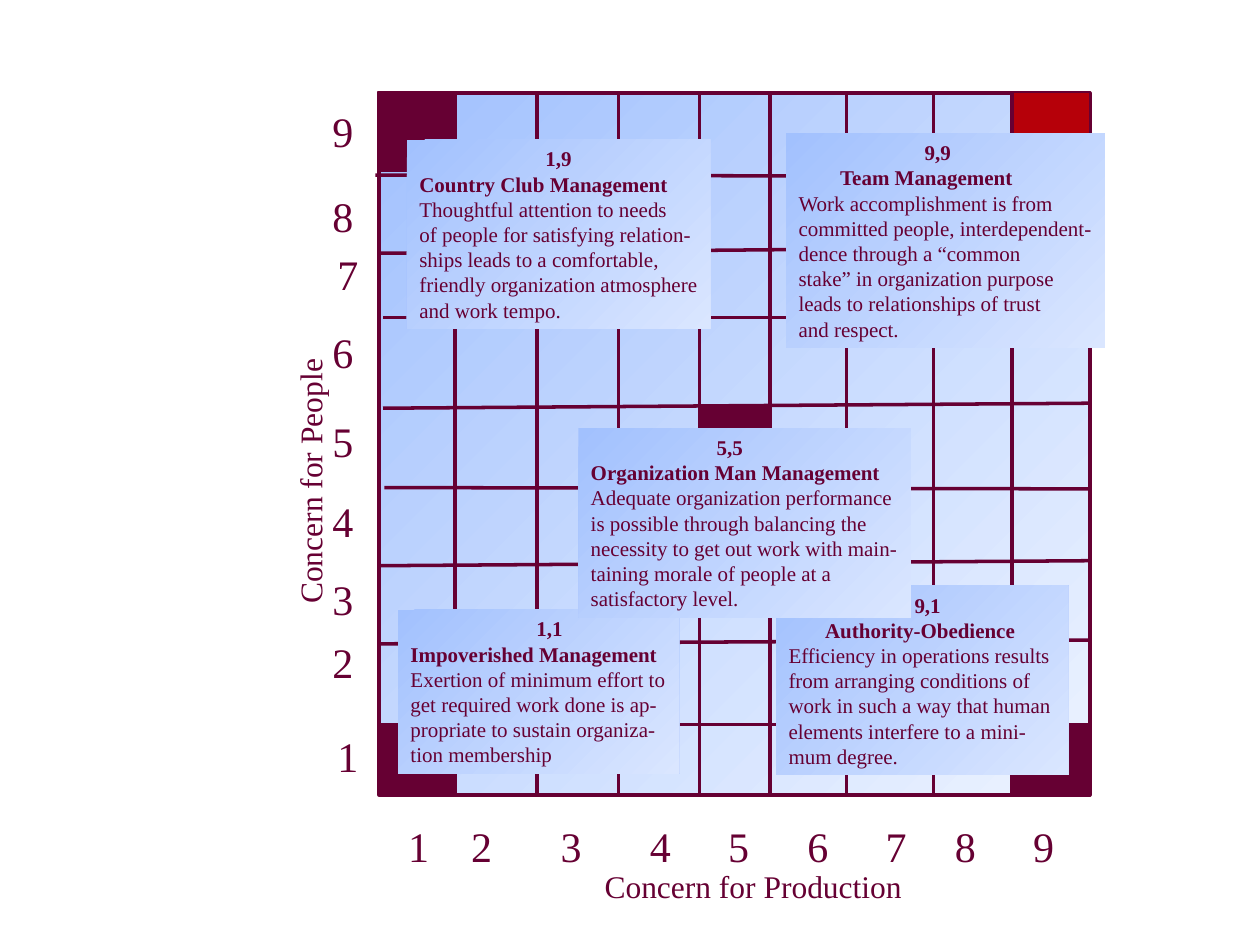
from pptx import Presentation
from pptx import util as u
from pptx.dml.color import RGBColor
from pptx.enum import shapes, text
from lxml import etree

PX_PER_INCH = 100
EMU_PER_PX = 914400 // PX_PER_INCH
A = "http://schemas.openxmlformats.org/drawingml/2006/main"


def px(n):
    return u.Emu(n * EMU_PER_PX)


def rgb(hex_color):
    return RGBColor.from_string(hex_color)


def write(p, content, size=12, bold=False, color="660033", font="Times New Roman", indent=0):
    p.alignment = text.PP_ALIGN.LEFT
    if indent:
        p._p.get_or_add_pPr().set("marL", str(px(indent)))
    r = p.add_run()
    r.text = content
    r.font.name = font
    r.font.size = u.Pt(size)
    r.font.bold = bold
    r.font.color.rgb = rgb(color)


class GridSlide:
    ink = "660033"
    light = "A2C1FE"

    def __init__(self, prs):
        self.s = prs.slides.add_slide(prs.slide_layouts[6])

    def rect(self, box, fill, line=None, weight=1, fade=None):
        sp = self.s.shapes.add_shape(shapes.MSO_SHAPE.RECTANGLE, *map(px, box))
        sp.shadow.inherit = False
        if fade:
            sp.fill.gradient()
            sp.fill.gradient_angle = 315
            for stop, color in zip(sp.fill.gradient_stops, (fill, fade)):
                stop.color.rgb = rgb(color)
        else:
            sp.fill.solid()
            sp.fill.fore_color.rgb = rgb(fill)
        if line:
            sp.line.color.rgb = rgb(line)
            sp.line.width = u.Pt(weight)
        else:
            sp.line.fill.background()
        return sp

    def line(self, x1, y1, x2, y2):
        c = self.s.shapes.add_connector(
            shapes.MSO_CONNECTOR.STRAIGHT, px(x1), px(y1), px(x2), px(y2))
        c.line.color.rgb = rgb(self.ink)
        c.line.width = u.Pt(2)
        etree.SubElement(c._element.spPr, f"{{{A}}}effectLst")

    def frame(self, sp, fixed=False):
        tf = sp.text_frame
        tf.word_wrap = fixed
        tf.auto_size = (text.MSO_AUTO_SIZE.NONE if fixed
                        else text.MSO_AUTO_SIZE.SHAPE_TO_FIT_TEXT)
        tf.vertical_anchor = text.MSO_ANCHOR.TOP
        tf.margin_left = tf.margin_right = px(10)
        tf.margin_top = tf.margin_bottom = px(5)
        return tf

    def label(self, box, content, size, rotation=0):
        sp = self.s.shapes.add_textbox(*map(px, box))
        sp.rotation = rotation
        write(self.frame(sp, fixed=rotation != 0).paragraphs[0], content, size)

    def style(self, corner, corner_fill, box, score, title, title_indent, lines):
        self.rect(corner, corner_fill, self.ink)
        tf = self.frame(self.rect(box, self.light, fade="DAE6FF"))
        write(tf.paragraphs[0], score, bold=True, indent=100)
        write(tf.add_paragraph(), title, bold=True, indent=title_indent)
        for content in lines:
            write(tf.add_paragraph(), content)


COLUMN_LINES = [361, 426, 491, 555, 611, 672, 741, 803]
ROW_LINES = [
    (298, 139, 861, 140), (302, 201, 864, 196), (304, 252, 863, 252),
    (304, 324, 865, 320), (305, 387, 865, 388), (301, 449, 865, 445),
    (301, 511, 865, 508), (302, 575, 865, 575),
]
STYLES = [
    ((804, 73, 61, 65), "B60009", (624, 106, 253, 170), "9,9", "Team Management", 33,
     ["Work accomplishment is from", "committed people, interdependent-",
      "dence through a “common", "stake” in organization purpose",
      "leads to relationships of trust", "and respect."]),
    ((300, 73, 61, 63), "660033", (323, 111, 241, 150), "1,9", "Country Club Management", 0,
     ["Thoughtful attention to needs", "of people for satisfying relation-",
      "ships leads to a comfortable,", "friendly organization atmosphere",
      "and work tempo."]),
    ((300, 575, 61, 55), "660033", (316, 484, 223, 130), "1,1", "Impoverished Management", 0,
     ["Exertion of minimum effort to", "get required work done is ap-",
      "propriate to sustain organiza-", "tion membership"]),
    ((804, 575, 61, 57), "660033", (616, 465, 232, 150), "9,1", "Authority-Obedience", 29,
     ["Efficiency in operations results", "from arranging conditions of",
      "work in such a way that human", "elements interfere to a mini-",
      "mum degree."]),
    ((556, 323, 55, 63), "660033", (459, 340, 264, 150), "5,5", "Organization Man Management", 0,
     ["Adequate organization performance", "is possible through balancing the",
      "necessity to get out work with main-", "taining morale of people at a",
      "satisfactory level."]),
]
PRODUCTION_X = [(314, 36), (364, 45), (435, 45), (506, 45), (568, 45),
                (631, 45), (693, 36), (748, 45), (810, 45)]
PEOPLE_Y = [(258, 575, 36), (254, 500, 45), (254, 450, 45), (254, 388, 45), (254, 325, 45),
            (254, 254, 45), (258, 192, 36), (254, 146, 45), (254, 79, 45)]


def main():
    prs = Presentation()
    prs.slide_width, prs.slide_height = px(1000), px(750)
    g = GridSlide(prs)
    g.rect((301, 74, 564, 557), g.light, g.ink, 2, fade="ECF3FF")
    for x in COLUMN_LINES:
        g.line(x, 74, x, 630)
    for ends in ROW_LINES:
        g.line(*ends)
    for style in STYLES:
        g.style(*style)
    g.label((131, 354, 230, 40), "Concern for People", 18, rotation=270)
    g.label((470, 683, 256, 40), "Concern for Production", 18)
    for score, (x, w) in enumerate(PRODUCTION_X, 1):
        g.label((x, 646, w, 50), str(score), 24)
    for score, (x, y, w) in enumerate(PEOPLE_Y, 1):
        g.label((x, y, w, 50), str(score), 24)
    prs.save("out.pptx")


if __name__ == "__main__":
    main()
